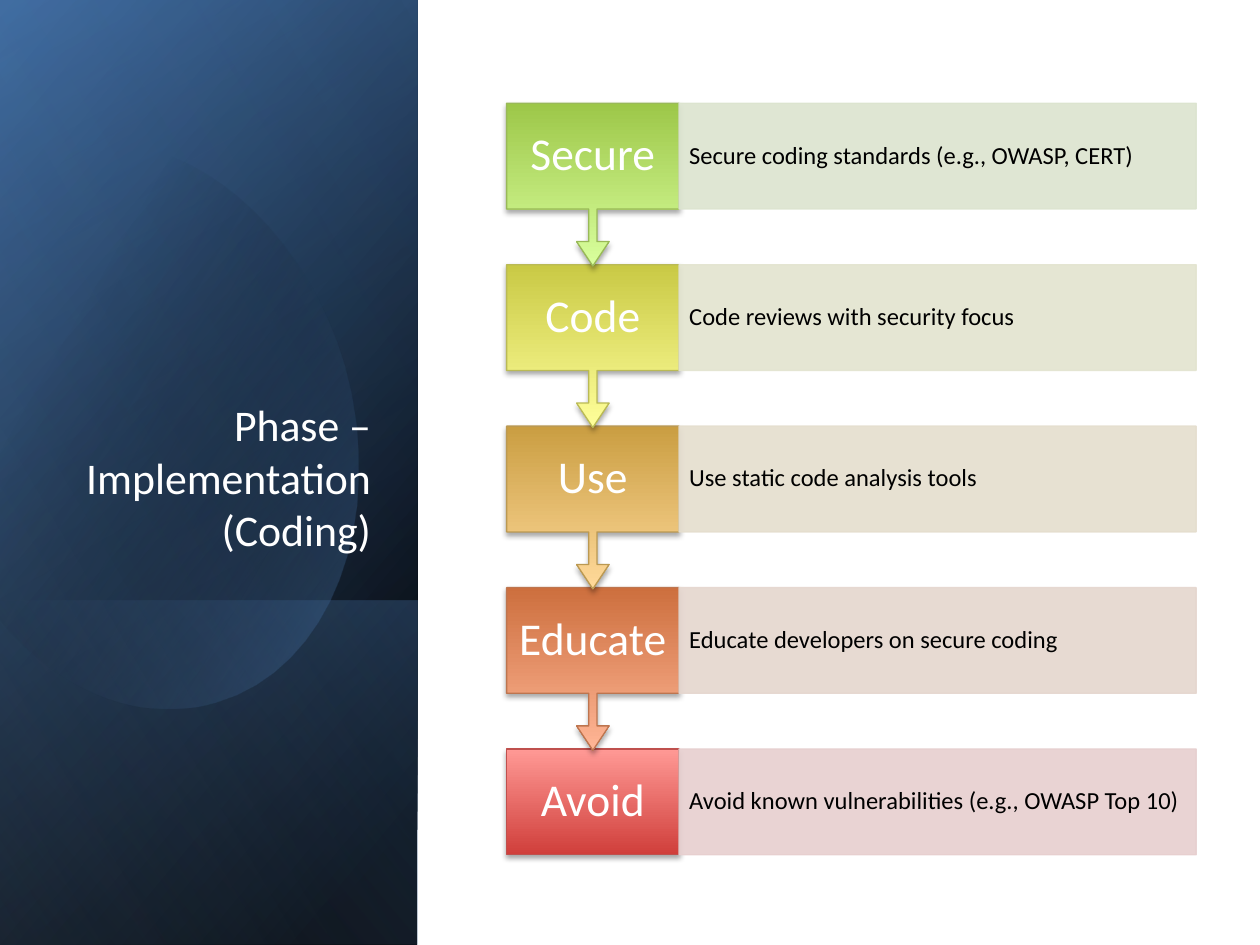
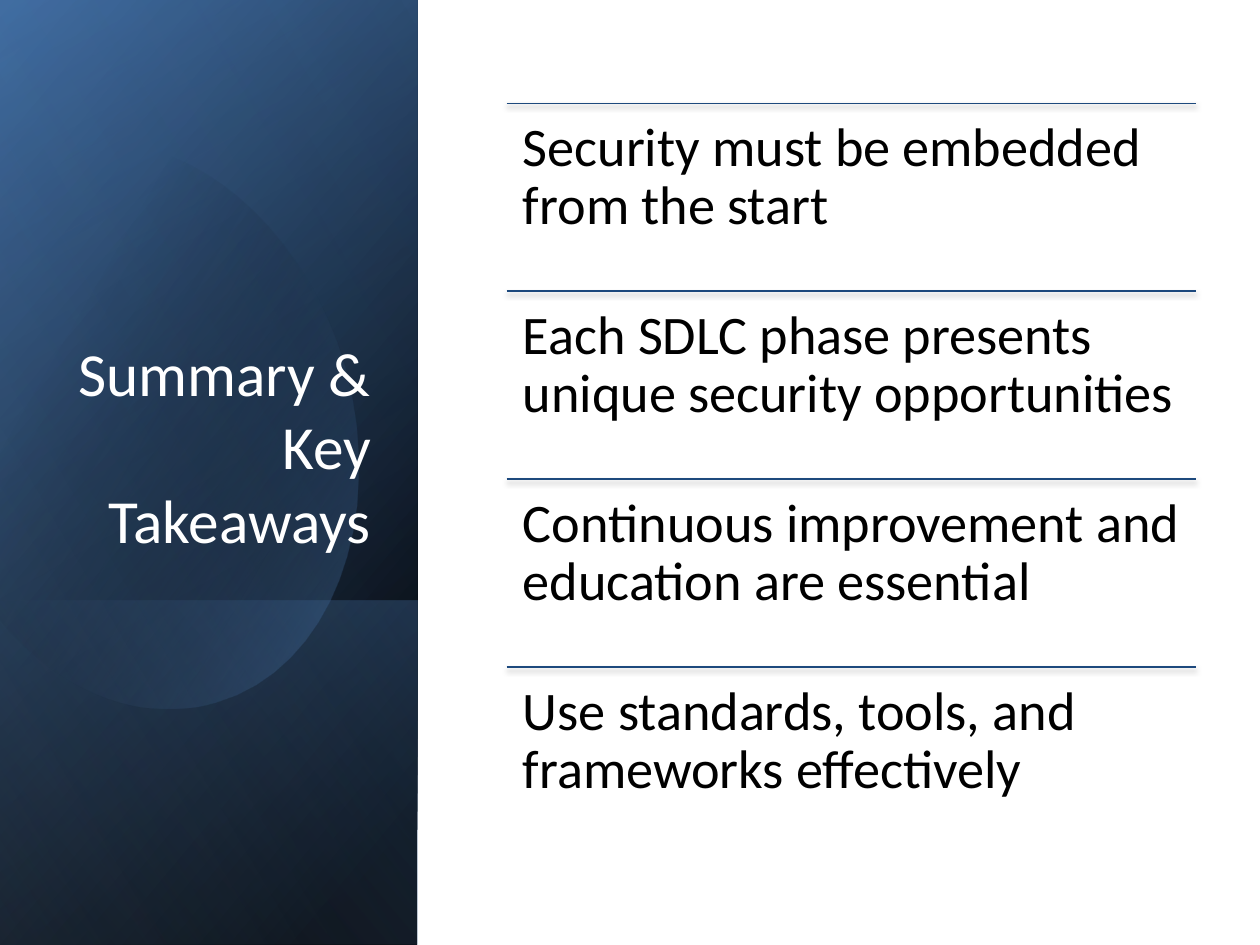
from lxml.etree import SubElement
from pptx import Presentation
from pptx.dml.color import RGBColor
from pptx.enum.shapes import MSO_CONNECTOR, MSO_SHAPE
from pptx.enum.text import MSO_ANCHOR, PP_ALIGN
from pptx.oxml.ns import qn
from pptx.util import Pt

HUES = {
    "black": "000000", "white": "FFFFFF", "navy": "366092",
    "blue": "4F81BD", "pale": "93B3D7", "rule": "1D497D",
}
FONT = "Calibri"
PANEL = (0, 0, 238.5, 540)
TITLE = (34.5, 132.5, 184.5, 188.5)
BODY = (289.5, 59, 394, 429.5)

# Dark stop, light stop, outline, detail tint
STEPS = [
    ("Secure", "Secure coding standards (e.g., OWASP, CERT)",
     ("9DC749", "D9FF9D", "99B958", "DCE4CF")),
    ("Code", "Code reviews with security focus",
     ("C9C945", "FFFF9A", "BABA55", "E3E4CF")),
    ("Use", "Use static code analysis tools",
     ("CA9E42", "FFD99A", "BB9952", "E5DECE")),
    ("Educate", "Educate developers on secure coding",
     ("CD6F3E", "FFB696", "BD754F", "E5D6CE")),
    ("Avoid", "Avoid known vulnerabilities (e.g., OWASP Top 10)",
     ("D03F3B", "FF9995", "BF504D", "E7CFCF")),
]
POINTS = [
    "Security must be embedded from the start",
    "Each SDLC phase presents unique security opportunities",
    "Continuous improvement and education are essential",
    "Use standards, tools, and frameworks effectively",
]

# Outline of the panel's glow in inches: a start, then curves and lines
START = (0.96, 1.14)
CURVES = [
    [(1.71, 1.22), (2.44, 1.92), (2.73, 2.9)],
    [(3.07, 4.12), (2.62, 5.31), (1.71, 5.57)],
    [(1.14, 5.74), (0.53, 5.5), (0.07, 5)],
    [(-0.03, 4.88)], [(-0.25, 1.66)], [(-0.15, 1.54)],
    [(0.02, 1.37), (0.22, 1.25), (0.45, 1.18)],
    [(0.62, 1.13), (0.79, 1.12), START],
]


def rgb(hue):
    return RGBColor.from_string(hue)


def fade(shape, stops, angle):
    """Fill with a gradient of (percent, hue, opacity percent) stops."""
    shape.fill.gradient()
    grad = shape.element.spPr.find(qn("a:gradFill"))
    for child in list(grad):
        grad.remove(child)
    grad.set("rotWithShape", "1")
    row = SubElement(grad, qn("a:gsLst"))
    for place, hue, alpha in stops:
        stop = SubElement(row, qn("a:gs"), pos=str(place * 1000))
        tone = SubElement(stop, qn("a:srgbClr"), val=hue)
        if alpha < 100:
            SubElement(tone, qn("a:alpha"), val=str(alpha * 1000))
    SubElement(grad, qn("a:lin"), ang=str(angle * 60000), scaled="0")


def shade(props):
    """Add the soft drop shadow to shape properties."""
    list_ = props.find(qn("a:effectLst"))
    if list_ is None:
        list_ = SubElement(props, qn("a:effectLst"))
    drop = SubElement(list_, qn("a:outerShdw"), blurRad=str(Pt(3.1)),
                      dist=str(Pt(1.8)), dir="5400000", rotWithShape="0")
    tone = SubElement(drop, qn("a:srgbClr"), val=HUES["black"])
    SubElement(tone, qn("a:alpha"), val="35000")


def block(slide, kind, box):
    shape = slide.shapes.add_shape(kind, *map(Pt, box))
    shape.shadow.inherit = False
    return shape


def edge(shape, hue):
    shape.line.color.rgb = rgb(hue)
    shape.line.width = Pt(0.75)


def write(slide, box, text, size, hue, pad, anchor=MSO_ANCHOR.TOP,
          align=PP_ALIGN.LEFT, space=0.9):
    frame = slide.shapes.add_textbox(*map(Pt, box)).text_frame
    frame.word_wrap = True
    frame.vertical_anchor = anchor
    frame.margin_left = frame.margin_right = Pt(pad[0])
    frame.margin_top = frame.margin_bottom = Pt(pad[1])
    para = frame.paragraphs[0]
    para.alignment = align
    para.line_spacing = space
    run = para.add_run()
    run.text = text
    run.font.name = FONT
    run.font.size = Pt(size)
    run.font.color.rgb = rgb(HUES[hue])


def band(slide, box, stops, angle):
    """Cover the box with a gradient rectangle, turned and mirrored."""
    left, top, width, height = box
    shift = (height - width) / 2
    shape = block(slide, MSO_SHAPE.RECTANGLE,
                  (left - shift, top + shift, height, width))
    shape.rotation = 90
    shape.element.spPr.find(qn("a:xfrm")).set("flipH", "1")
    fade(shape, stops, angle)
    shape.line.fill.background()


def trace(count=16):
    """Return the glow's outline as points, with its curves sampled."""
    spots, last = [], START
    for part in CURVES:
        if len(part) == 1:
            spots.append(part[0])
        else:
            ends = [last, *part]
            for step in range(1, count + 1):
                t = step / count
                mix = ((1 - t) ** 3, 3 * t * (1 - t) ** 2,
                       3 * t * t * (1 - t), t ** 3)
                spots.append(tuple(sum(m * end[axis] for m, end in zip(mix, ends))
                                   for axis in (0, 1)))
        last = part[-1]
    return spots


def glow(slide, left, top):
    def place(spot):
        return Pt(left + spot[0] * 72), Pt(top + spot[1] * 72)

    pen = slide.shapes.build_freeform(*place(START))
    pen.add_line_segments([place(spot) for spot in trace()], close=True)
    shape = pen.convert_to_shape()
    shape.shadow.inherit = False
    fade(shape, [(0, HUES["black"], 0), (29, HUES["black"], 0),
                 (100, HUES["blue"], 43)], 30)
    shape.line.fill.background()


def panel(slide, box, title, size):
    left, top, width, height = box
    black, blue, pale = HUES["black"], HUES["blue"], HUES["pale"]
    foot = 197
    band(slide, box, [(0, black, 100), (8, black, 100),
                      (100, HUES["navy"], 100)], 50)
    band(slide, box, [(0, black, 0), (99, blue, 46), (100, blue, 46)], 30)
    band(slide, (left, top + height - foot, width, foot),
         [(0, blue, 29), (2, blue, 29), (100, black, 30)], 130)
    glow(slide, left, top)
    band(slide, box, [(0, black, 0), (99, pale, 11), (100, pale, 11)], 120)
    write(slide, TITLE, title, size, "white", (7.2, 3.6),
          MSO_ANCHOR.BOTTOM, PP_ALIGN.RIGHT, 1)


def step(slide, box, pitch, entry, final):
    """Draw one step: a callout pointing down, or a plain box if final."""
    left, top, width, height = box
    name, text, (dark, light, line, tint) = entry
    side = width / 4
    if final:
        card = block(slide, MSO_SHAPE.RECTANGLE, (left, top, side, height))
    else:
        card = block(slide, MSO_SHAPE.UP_ARROW_CALLOUT,
                     (left, top, side, pitch + 0.75))
        card.rotation = 180
        for spot, value in enumerate((0.05, 0.1, 0.15, 0.65)):
            card.adjustments[spot] = value
    fade(card, [(0, dark, 100), (100, light, 100)], 270)
    edge(card, line)
    shade(card.element.spPr)
    write(slide, (left, top, side, height), name, 26, "white", (7.2, 14.4),
          MSO_ANCHOR.MIDDLE, PP_ALIGN.CENTER)

    area = (left + side, top, width - side, height)
    plate = block(slide, MSO_SHAPE.RECTANGLE, area)
    plate.fill.solid()
    plate.fill.fore_color.rgb = rgb(tint)
    edge(plate, tint)
    for tone in plate.element.spPr.iter(qn("a:srgbClr")):
        SubElement(tone, qn("a:alpha"), val="90000")
    write(slide, area, text, 14, "black", (5.8, 13.7), MSO_ANCHOR.MIDDLE)


def steps(slide, box):
    left, top, width, height = box
    tall = 60.5
    last = len(STEPS) - 1
    pitch = (height - tall) / last
    for row in range(last, -1, -1):
        step(slide, (left, top + row * pitch, width, tall), pitch,
             STEPS[row], row == last)


def points(slide, box):
    left, top, width, height = box
    pitch = height / len(POINTS)
    for row, text in enumerate(POINTS):
        y = top + row * pitch
        rule = slide.shapes.add_connector(
            MSO_CONNECTOR.STRAIGHT, *map(Pt, (left, y, left + width, y)))
        edge(rule, HUES["rule"])
        shade(rule.element.spPr)
        write(slide, (left, y, width, pitch), text, 31, "black", (9.3, 9.3))


def main():
    deck = Presentation()
    deck.slide_width, deck.slide_height = Pt(720), Pt(540)
    pages = [("Phase – Implementation (Coding)", 25, steps),
             ("Summary & Key Takeaways", 35, points)]
    for title, size, fill in pages:
        slide = deck.slides.add_slide(deck.slide_layouts[6])
        panel(slide, PANEL, title, size)
        fill(slide, BODY)
    deck.save("out.pptx")


if __name__ == "__main__":
    main()
